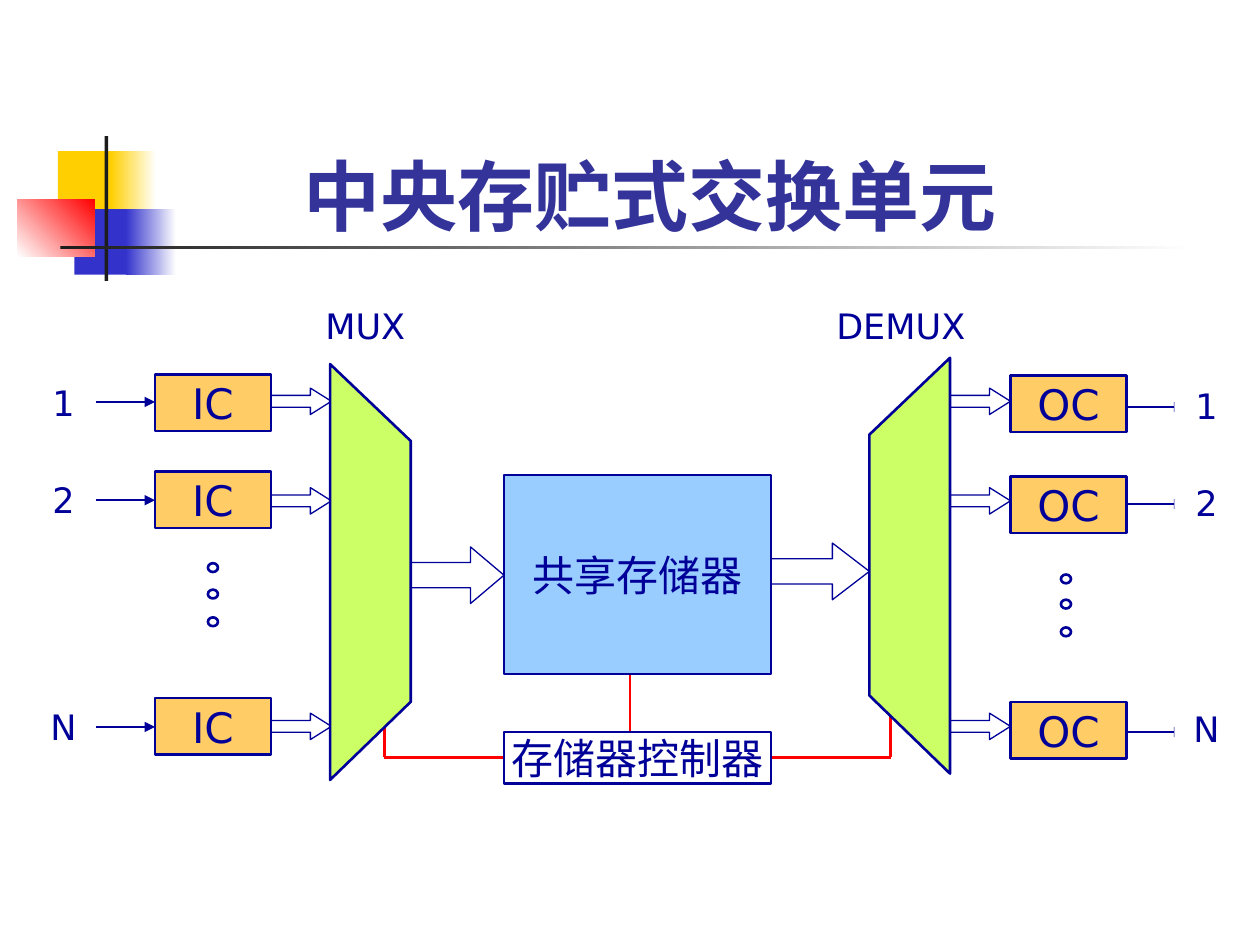
import pptx
import pptx.dml.color
import pptx.enum.shapes
import pptx.enum.text
import pptx.oxml.ns
import pptx.util
from lxml import etree

Inches = pptx.util.Inches
Pt = pptx.util.Pt
Kind = pptx.enum.shapes.MSO_SHAPE
Anchor = pptx.enum.text.MSO_ANCHOR
qn = pptx.oxml.ns.qn

NAVY, RED, WHITE = "000099", "FF0000", "FFFFFF"
ORANGE, GREEN, BLUE = "FFCC66", "CCFF66", "99CCFF"
GOLD, INDIGO, BLACK, TITLE = "FFCF01", "3333CC", "1C1C1C", "333399"


def colour(value):
    return pptx.dml.color.RGBColor.from_string(value)


class Diagram:
    """Draws the elements of a switching diagram on one slide."""

    latin = "DejaVu Sans"
    east_asian = "Noto Sans CJK JP"
    line_width = 1.5

    def __init__(self, slide):
        self.slide = slide

    def paint(self, shape, fill, line=None, width=line_width):
        shape.shadow.inherit = False
        shape.fill.solid()
        shape.fill.fore_color.rgb = colour(fill)
        if line:
            shape.line.color.rgb = colour(line)
            shape.line.width = Pt(width)
        else:
            shape.line.fill.background()

    def shape(self, kind, box, fill, line=None, width=line_width):
        shape = self.slide.shapes.add_shape(kind, *map(Inches, box))
        self.paint(shape, fill, line, width)
        return shape

    def gradient(self, box, start, end, angle=0):
        shape = self.shape(Kind.RECTANGLE, box, start)
        shape.fill.gradient()
        shape.fill.gradient_angle = angle
        for stop, value in zip(shape.fill.gradient_stops, (start, end)):
            stop.color.rgb = colour(value)

    def add_text(self, shape, text, size, font=latin, value=NAVY, bold=False,
                 anchor=Anchor.MIDDLE, wrap=False):
        frame = shape.text_frame
        frame.word_wrap = wrap
        frame.vertical_anchor = anchor
        paragraph = frame.paragraphs[0]
        paragraph.alignment = pptx.enum.text.PP_ALIGN.CENTER
        run = paragraph.add_run()
        run.text = text
        run.font.size = Pt(size)
        run.font.bold = bold
        run.font.color.rgb = colour(value)
        run.font.name = font
        east_asian = etree.Element(qn("a:ea"), typeface=self.east_asian)
        run.font._element.find(qn("a:latin")).addnext(east_asian)

    def title(self, box, text):
        shape = self.slide.shapes.add_textbox(*map(Inches, box))
        self.add_text(shape, text, 44, self.east_asian, TITLE, True, Anchor.BOTTOM, True)

    def block(self, box, text, fill=WHITE, line=NAVY, size=24):
        shape = self.shape(Kind.RECTANGLE, box, fill, line)
        frame = shape.text_frame
        frame.margin_left = frame.margin_right = 0
        frame.margin_top = frame.margin_bottom = 0
        self.add_text(shape, text, size)

    def label(self, box, text):
        self.block(box, text, line=None, size=20)

    def block_arrow(self, box, head):
        shape = self.shape(Kind.RIGHT_ARROW, box, WHITE, NAVY, 0.75)
        shape.adjustments[0] = 0.445
        shape.adjustments[1] = head

    def dots(self, left, tops):
        for top in tops:
            self.shape(Kind.OVAL, (left, top, 0.08, 0.07), WHITE, NAVY)

    def connector(self, start, end, value=NAVY, arrow=False):
        line = self.slide.shapes.add_connector(
            pptx.enum.shapes.MSO_CONNECTOR.STRAIGHT, *map(Inches, (*start, *end)))
        line.line.color.rgb = colour(value)
        line.line.width = Pt(self.line_width)
        if arrow:
            outline = line._element.spPr.find(qn("a:ln"))
            etree.SubElement(outline, qn("a:tailEnd"), type="triangle")
        etree.SubElement(line._element.spPr, qn("a:effectLst"))

    def route(self, points):
        for start, end in zip(points, points[1:]):
            self.connector(start, end, RED)

    def trapezoid(self, long_side, short_side, top):
        points = [(long_side, top + 3.3), (short_side, top + 2.68),
                  (short_side, top + 0.61), (long_side, top)]
        points = [(Inches(x), Inches(y)) for x, y in points]
        builder = self.slide.shapes.build_freeform(*points[0])
        builder.add_line_segments(points[1:], close=True)
        self.paint(builder.convert_to_shape(), GREEN, NAVY)


def draw_title(diagram):
    diagram.shape(Kind.RECTANGLE, (0.46, 1.2, 0.48, 0.52), GOLD)
    diagram.gradient((0.88, 1.2, 0.36, 0.52), GOLD, WHITE)
    diagram.shape(Kind.RECTANGLE, (0.59, 1.66, 0.46, 0.52), INDIGO)
    diagram.gradient((1, 1.66, 0.4, 0.52), INDIGO, WHITE)
    diagram.gradient((0.14, 1.58, 0.61, 0.46), WHITE, RED, 45)
    diagram.shape(Kind.RECTANGLE, (0.83, 1.08, 0.03, 1.15), BLACK)
    diagram.gradient((0.48, 1.95, 9, 0.03), BLACK, WHITE)
    diagram.title((0.9, 0.36, 8.52, 1.6), "中央存贮式交换单元")


def draw_ports(diagram):
    for top in (3.08, 3.87, 5.66):
        for left in (1.99, 7.38):
            diagram.block_arrow((left, top, 0.64, 0.21), 0.792)
    for name, top, line in (("1", 2.97, 3.19), ("2", 3.74, 3.97), ("N", 5.54, 5.77)):
        diagram.block((1.23, top, 0.92, 0.45), "IC", ORANGE)
        diagram.label((0.25, top, 0.51, 0.45), name)
        diagram.connector((0.76, line), (1.23, line), arrow=True)
    for name, top, line, label_top in (("1", 2.98, 3.23, 2.99), ("2", 3.78, 4, 3.76),
                                       ("N", 5.57, 5.81, 5.56)):
        diagram.block((8.02, top, 0.92, 0.45), "OC", ORANGE)
        diagram.connector((8.93, line), (9.4, line), arrow=True)
        diagram.label((9.32, label_top, 0.51, 0.45), name)
    diagram.dots(1.65, (4.47, 4.68, 4.9))
    diagram.dots(8.42, (4.56, 4.76, 4.98))


def draw_core(diagram):
    diagram.block_arrow((2.98, 4.34, 1.02, 0.45), 0.591)
    diagram.block_arrow((6.09, 4.31, 0.81, 0.45), 0.652)
    diagram.label((2.58, 2.36, 0.64, 0.44), "MUX")
    diagram.label((6.83, 2.36, 0.64, 0.44), "DEMUX")
    diagram.route([(3.05, 5.6), (3.05, 6.01), (4, 6.01)])
    diagram.trapezoid(2.62, 3.26, 2.89)
    diagram.route([(5, 5.81), (5, 5.36)])
    diagram.block((4, 3.77, 2.12, 1.58), "共享存储器", BLUE)
    diagram.route([(6.11, 6.01), (7.07, 6.01), (7.07, 5.61)])
    diagram.block((4, 5.81, 2.12, 0.41), "存储器控制器")
    diagram.trapezoid(7.54, 6.9, 2.84)


def main():
    presentation = pptx.Presentation()
    presentation.slide_width = Inches(10)
    presentation.slide_height = Inches(7.5)
    slide = presentation.slides.add_slide(presentation.slide_layouts[6])
    diagram = Diagram(slide)
    draw_title(diagram)
    draw_ports(diagram)
    draw_core(diagram)
    presentation.save("out.pptx")


if __name__ == "__main__":
    main()
